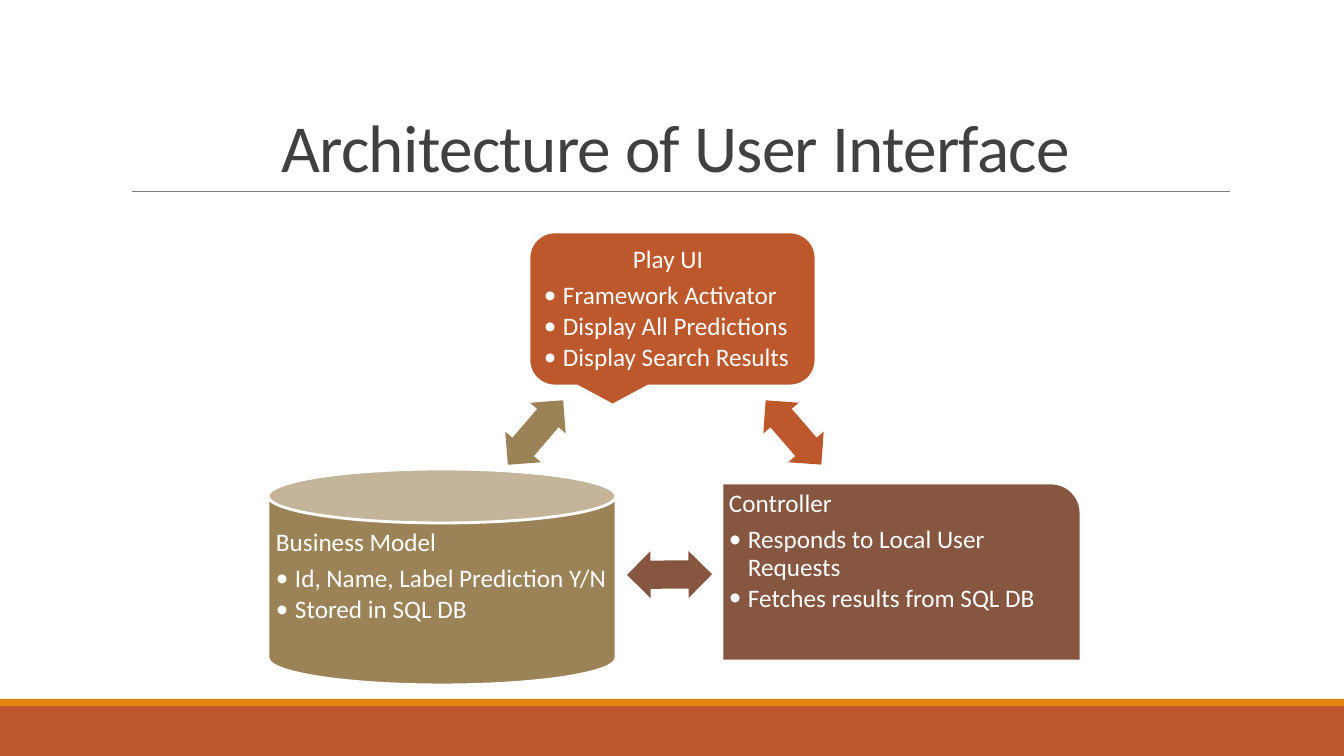
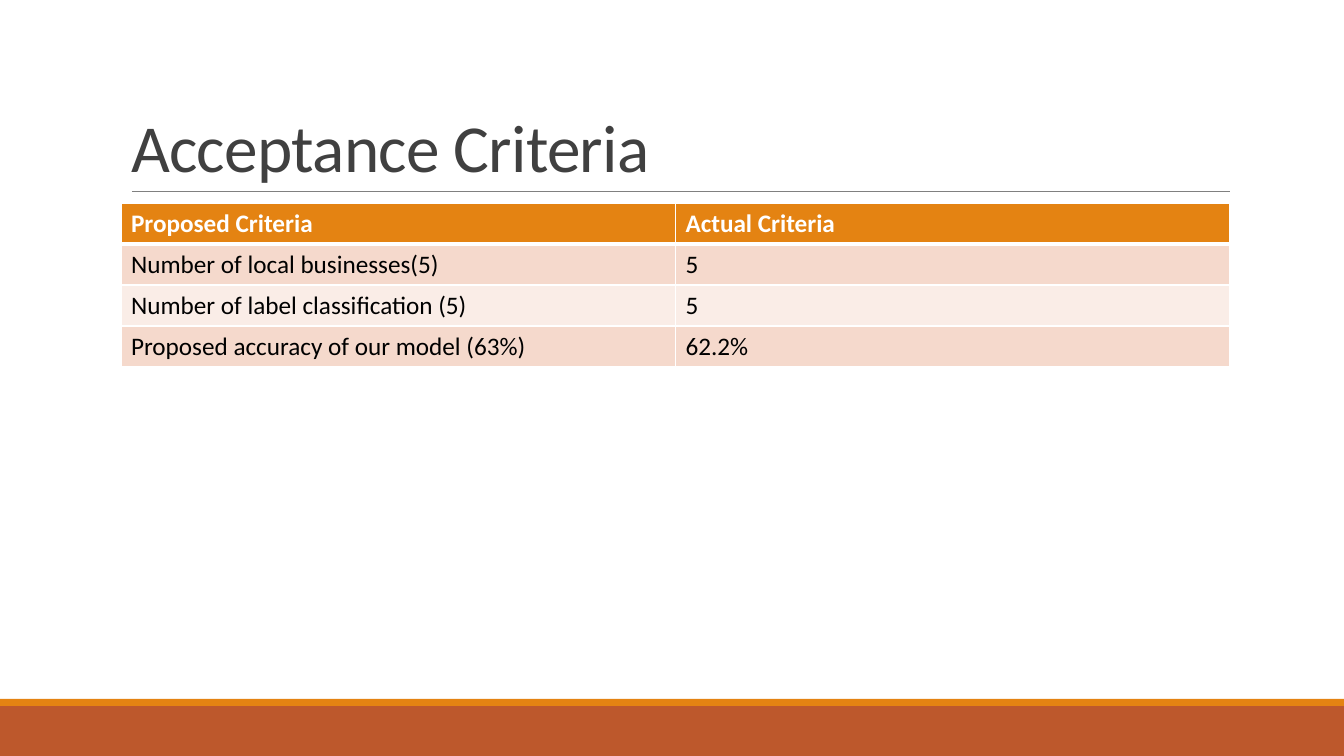
from lxml.etree import SubElement
from pptx import Presentation
from pptx.dml.color import RGBColor
from pptx.enum.shapes import MSO_CONNECTOR, MSO_SHAPE
from pptx.enum.text import MSO_ANCHOR, MSO_AUTO_SIZE, PP_ALIGN
from pptx.oxml.ns import qn
from pptx.util import Pt

PX = 9071  # EMU in one px, 100.8 px to the inch
FONT = "Calibri"
RUST, ORANGE, BROWN, SAND = "BD582C", "E48312", "865640", "9B8357"
WHITE, BLACK, DARK, GRAY = "FFFFFF", "000000", "404040", "808080"
hue = RGBColor.from_string


def draw(slide, kind, box, fill, edge=0):
    """Add a flat preset shape; edge is the width of its white outline in points."""
    shape = slide.shapes.add_shape(kind, *[v * PX for v in box])
    shape.shadow.inherit = False
    shape.fill.solid()
    shape.fill.fore_color.rgb = hue(fill)
    if edge:
        shape.line.color.rgb = hue(WHITE)
        shape.line.width = Pt(edge)
    else:
        shape.line.fill.background()
    return shape


def write(par, text, color, size=18, bold=False, **form):
    """Fill a paragraph with one run; form holds paragraph attributes."""
    run = par.add_run()
    run.text = text
    run.font.color.rgb = hue(color)
    for name, value in {"name": FONT, "size": Pt(size), "bold": bold}.items():
        setattr(run.font, name, value)
    for name, value in form.items():
        setattr(par, name, value)
    return run


deck = Presentation()
deck.slide_width, deck.slide_height = 1344 * PX, 756 * PX
layout = deck.slide_layouts[5]

# Titles
slides = []
for text, align in [
    ("Architecture of User Interface", PP_ALIGN.CENTER),
    ("Acceptance Criteria", PP_ALIGN.LEFT),
]:
    slide = deck.slides.add_slide(layout)
    title = slide.shapes.title
    place = {"left": 121, "top": 31, "width": 1109, "height": 160}
    for name, value in place.items():
        setattr(title, name, value * PX)
    frame = title.text_frame
    frame.vertical_anchor = MSO_ANCHOR.BOTTOM
    frame.auto_size = MSO_AUTO_SIZE.NONE
    run = write(frame.paragraphs[0], text, DARK, 48,
                alignment=align, line_spacing=0.85)
    run._r.get_or_add_rPr().set("spc", "-50")
    slides.append(slide)
chart, table = slides

# Bands and title rule, moved to the layout that both slides share
rule = chart.shapes.add_connector(
    MSO_CONNECTOR.STRAIGHT, 132 * PX, 191 * PX, 1230 * PX, 191 * PX)
rule.line.color.rgb = hue(GRAY)
rule.line.width = Pt(0.5)
SubElement(rule.element.spPr, qn("a:effectLst"))
base = draw(chart, MSO_SHAPE.RECTANGLE, (0, 706, 1344, 50), RUST)
strip = draw(chart, MSO_SHAPE.RECTANGLE, (0, 699, 1344, 7), ORANGE)
for part in (base, strip, rule):
    layout.shapes.element.append(part.element)

# Architecture: shape, its box, text box, fill, heading indent, heading, list
cards = [
    (MSO_SHAPE.ROUNDED_RECTANGULAR_CALLOUT, (529, 232, 287, 154),
     (537, 240, 272, 139), RUST, 89, "Play UI",
     ["Framework Activator", "Display All Predictions", "Display Search Results"]),
    (MSO_SHAPE.ROUND_1_RECTANGLE, (722, 483, 359, 178),
     (722, 484, 351, 178), BROWN, 0, "Controller",
     ["Responds to Local User Requests", "Fetches results from SQL DB"]),
    (MSO_SHAPE.CAN, (268, 469, 348, 216),
     (269, 523, 348, 135), SAND, 0, "Business Model",
     ["Id, Name, Label Prediction Y/N", "Stored in SQL DB"]),
]
for kind, box, area, fill, indent, head, items in cards:
    draw(chart, kind, box, fill, 2)
    frame = chart.shapes.add_textbox(*[v * PX for v in area]).text_frame
    frame.word_wrap = True
    for side in ("left", "top", "right", "bottom"):
        setattr(frame, f"margin_{side}", 7 * PX)
    par = frame.paragraphs[0]
    write(par, head, WHITE, line_spacing=0.9, space_after=Pt(6.3))
    par._p.get_or_add_pPr().set("marL", str(indent * PX))
    for item in items:
        par = frame.add_paragraph()
        write(par, item, WHITE, level=1, line_spacing=0.9, space_after=Pt(2.7))
        props = par._p.get_or_add_pPr()
        props.set("marL", str(19 * PX))
        props.set("indent", str(-19 * PX))
        SubElement(props, qn("a:buFont"), typeface=FONT)
        SubElement(props, qn("a:buChar"), char="•")

for left, top, turn, fill in [
    (751, 409, 49.1, RUST),
    (627, 551, 179.5, BROWN),
    (493, 409, 310.6, SAND),
]:
    arrow = draw(chart, MSO_SHAPE.LEFT_RIGHT_ARROW, (left, top, 85, 47), fill)
    arrow.rotation = turn
    arrow.adjustments[0], arrow.adjustments[1] = 0.6, 0.5

# Criteria table
rows = [
    ("Proposed Criteria", "Actual Criteria"),
    ("Number of local businesses(5)", "5"),
    ("Number of label classification (5)", "5"),
    ("Proposed accuracy of our model (63%)", "62.2%"),
]
fills = [ORANGE, "F5D9CC", "FAEDE7", "F5D9CC"]
grid = table.shapes.add_table(
    len(rows), 2, 121 * PX, 203 * PX, 1109 * PX, 164 * PX).table
for r, (row, fill) in enumerate(zip(rows, fills)):
    grid.rows[r].height = 41 * PX
    edges = {"lnL": 1, "lnR": 1, "lnT": 3 if r == 1 else 1, "lnB": 1 if r else 3}
    for c, text in enumerate(row):
        cell = grid.cell(r, c)
        write(cell.text_frame.paragraphs[0], text, BLACK if r else WHITE, bold=r == 0)
        props = cell._tc.get_or_add_tcPr()
        for tag, width in edges.items():
            line = SubElement(props, qn(f"a:{tag}"), w=str(Pt(width)))
            SubElement(SubElement(line, qn("a:solidFill")), qn("a:srgbClr"), val=WHITE)
        cell.fill.solid()
        cell.fill.fore_color.rgb = hue(fill)

deck.save("out.pptx")
